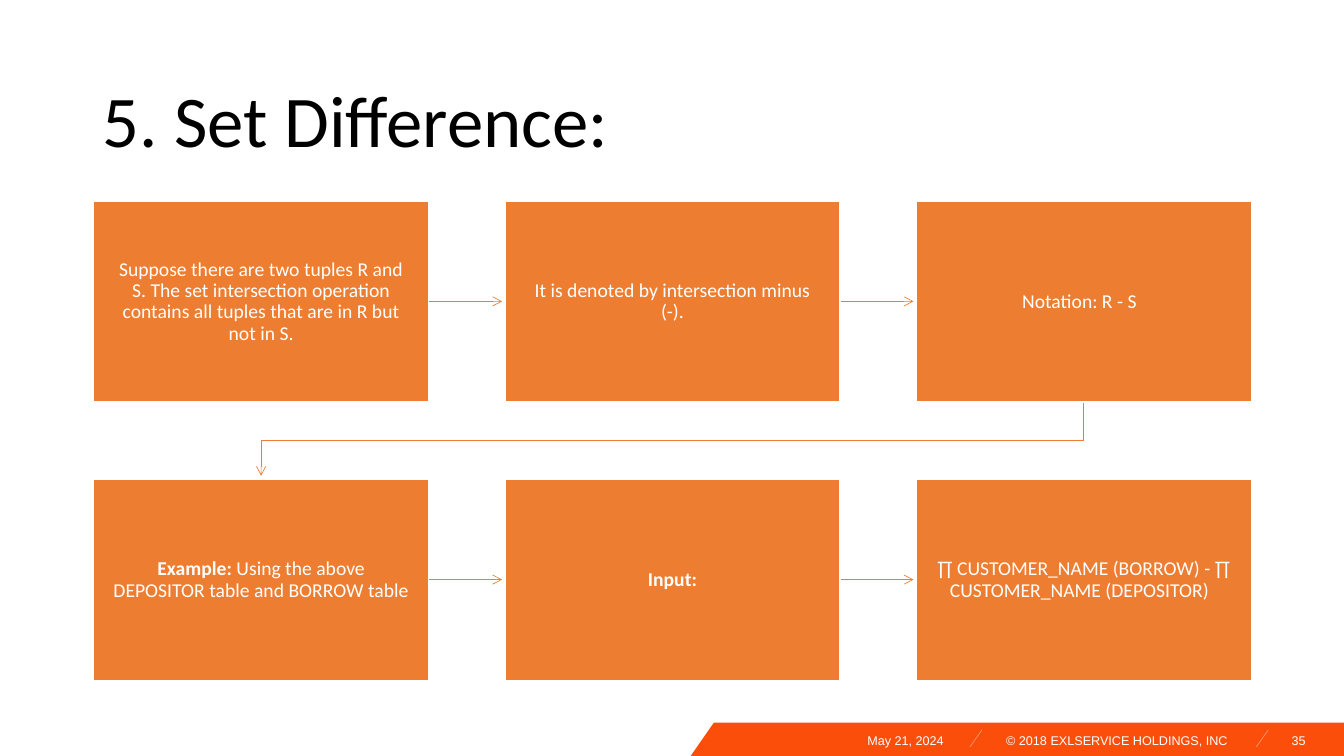
from dataclasses import dataclass

from lxml import etree
from pptx import Presentation
from pptx import util as u
from pptx.dml.color import RGBColor
from pptx.enum import shapes, text
from pptx.oxml.ns import qn

PX = 9144  # EMU per px, 100 px to the inch
HUES = {"box": "ED7D31", "bar": "FB4E0B", "slash": "FC946B",
        "white": "FFFFFF", "black": "000000"}

# Grid of boxes
LEFT, TOP, WIDE, HIGH = 93, 200, 332, 199
STEP_X, STEP_Y, COLS = 408, 276, 3
ARROW = 73


@dataclass
class Box:
    body: str
    lead: str = ""  # bold opening words


@dataclass
class Note:
    body: str
    left: int
    wide: int
    align: text.PP_ALIGN


BOXES = [
    Box("Suppose there are two tuples R and S. The set intersection operation "
        "contains all tuples that are in R but not in S."),
    Box("It is denoted by intersection minus (-)."),
    Box("Notation: R - S  "),
    Box(" Using the above DEPOSITOR table and BORROW table", "Example:"),
    Box("", "Input:"),
    Box("∏ CUSTOMER_NAME (BORROW) - ∏ CUSTOMER_NAME (DEPOSITOR)  "),
]
NOTES = [
    Note("May 21, 2024", 709, 227, text.PP_ALIGN.RIGHT),
    Note("35", 1258, 37, text.PP_ALIGN.RIGHT),
    Note("© 2018 EXLSERVICE HOLDINGS, INC", 998, 227, text.PP_ALIGN.LEFT),
]


def px(*nums: int) -> list[u.Emu]:
    return [u.Emu(n * PX) for n in nums]


def hue(name: str) -> RGBColor:
    return RGBColor.from_string(HUES[name])


def style(font, face: str, size: int, name: str) -> None:
    font.name, font.size = face, u.Pt(size)
    font.color.rgb = hue(name)


def stroke(shape, name: str, head: bool = False) -> None:
    shape.line.color.rgb = hue(name)
    shape.line.width = u.Pt(0.5)
    if head:
        etree.SubElement(shape.line._get_or_add_ln(), qn("a:tailEnd"), type="arrow")


def add_line(slide, ends: tuple, name: str, head: bool = False) -> None:
    line = slide.shapes.add_connector(shapes.MSO_CONNECTOR.STRAIGHT, *px(*ends))
    stroke(line, name, head)
    etree.SubElement(line._element.spPr, qn("a:effectLst"))


def add_path(slide, dots: list, close: bool):
    pen = slide.shapes.build_freeform(*dots[0], scale=PX)
    pen.add_line_segments(dots[1:], close=close)
    path = pen.convert_to_shape()
    path.shadow.inherit = False
    return path


def add_box(slide, box: Box, left: int, top: int) -> None:
    shape = slide.shapes.add_shape(shapes.MSO_SHAPE.RECTANGLE,
                                   *px(left, top, WIDE, HIGH))
    shape.shadow.inherit = False
    shape.fill.solid()
    shape.fill.fore_color.rgb = hue("box")
    shape.line.color.rgb = hue("white")
    shape.line.width = u.Pt(1)
    frame = shape.text_frame
    frame.word_wrap = True
    frame.vertical_anchor = text.MSO_ANCHOR.MIDDLE
    frame.margin_left, frame.margin_right = px(16, 16)
    frame.margin_top, frame.margin_bottom = px(17, 17)
    para = frame.paragraphs[0]
    para.alignment = text.PP_ALIGN.CENTER
    para.line_spacing = 0.9
    for words, bold in ((box.lead, True), (box.body, False)):
        if words:
            run = para.add_run()
            run.text = words
            style(run.font, "Calibri", 14, "white")
            run.font.bold = bold


def add_note(slide, note: Note) -> None:
    frame = slide.shapes.add_textbox(*px(note.left, 727, note.wide, 15)).text_frame
    frame.margin_left = frame.margin_right = 0
    frame.margin_top = frame.margin_bottom = 0
    frame.word_wrap = True
    frame.text = note.body
    para = frame.paragraphs[0]
    para.alignment = note.align
    style(para.runs[0].font, "Arial", 9, "white")


def add_title(slide, words: str) -> None:
    title = slide.shapes.title
    title.left, title.top, title.width, title.height = px(92, 61, 1150, 124)
    frame = title.text_frame
    frame.text = words
    frame.word_wrap = True
    frame.auto_size = text.MSO_AUTO_SIZE.NONE
    frame.vertical_anchor = text.MSO_ANCHOR.MIDDLE
    para = frame.paragraphs[0]
    para.alignment = text.PP_ALIGN.LEFT
    para.line_spacing = 0.9
    style(para.runs[0].font, "Calibri", 52, "black")


def main() -> None:
    deck = Presentation()
    deck.slide_width, deck.slide_height = px(1333, 750)
    slide = deck.slides.add_slide(deck.slide_layouts[5])

    # Footer bar
    bar = add_path(slide, [(708, 717), (1333, 717), (1333, 750), (685, 750)], True)
    bar.fill.solid()
    bar.fill.fore_color.rgb = hue("bar")
    bar.line.fill.background()
    for x in (974, 1258):
        add_line(slide, (x, 724, x - 12, 741), "slash")
    for note in NOTES:
        add_note(slide, note)

    add_title(slide, "5. Set Difference:")

    # Turn from the first row to the second
    start, end = LEFT + 2 * STEP_X + WIDE // 2, LEFT + WIDE // 2
    low, mid = TOP + HIGH, TOP + (HIGH + STEP_Y) // 2
    turn = add_path(slide, [(start, low), (start, mid), (end, mid),
                            (end, low + ARROW)], False)
    turn.fill.background()
    stroke(turn, "box", True)

    # Boxes, each with an arrow to its right neighbour
    for i, box in enumerate(BOXES):
        row, col = divmod(i, COLS)
        left, top = LEFT + col * STEP_X, TOP + row * STEP_Y
        if col < COLS - 1:
            edge, y = left + WIDE, top + HIGH // 2
            add_line(slide, (edge, y, edge + ARROW, y), "box", True)
        add_box(slide, box, left, top)

    deck.save("out.pptx")


if __name__ == "__main__":
    main()
